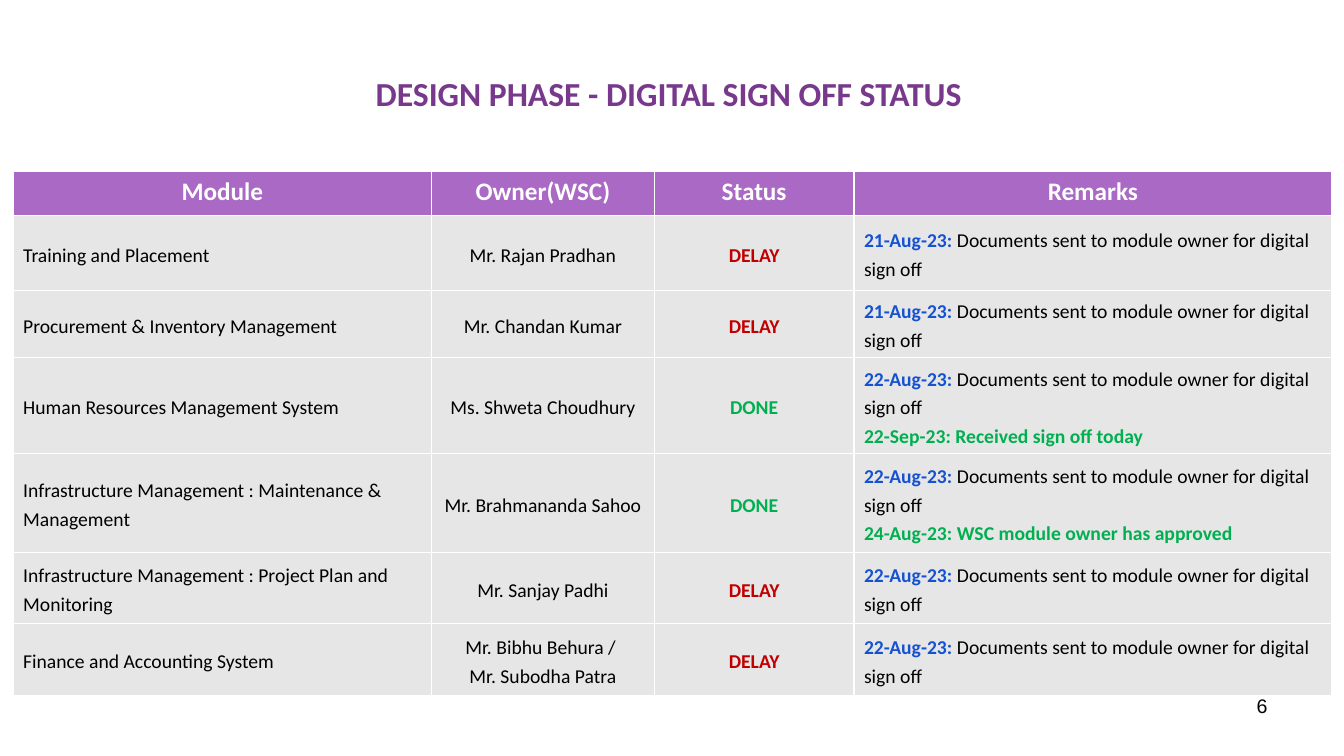
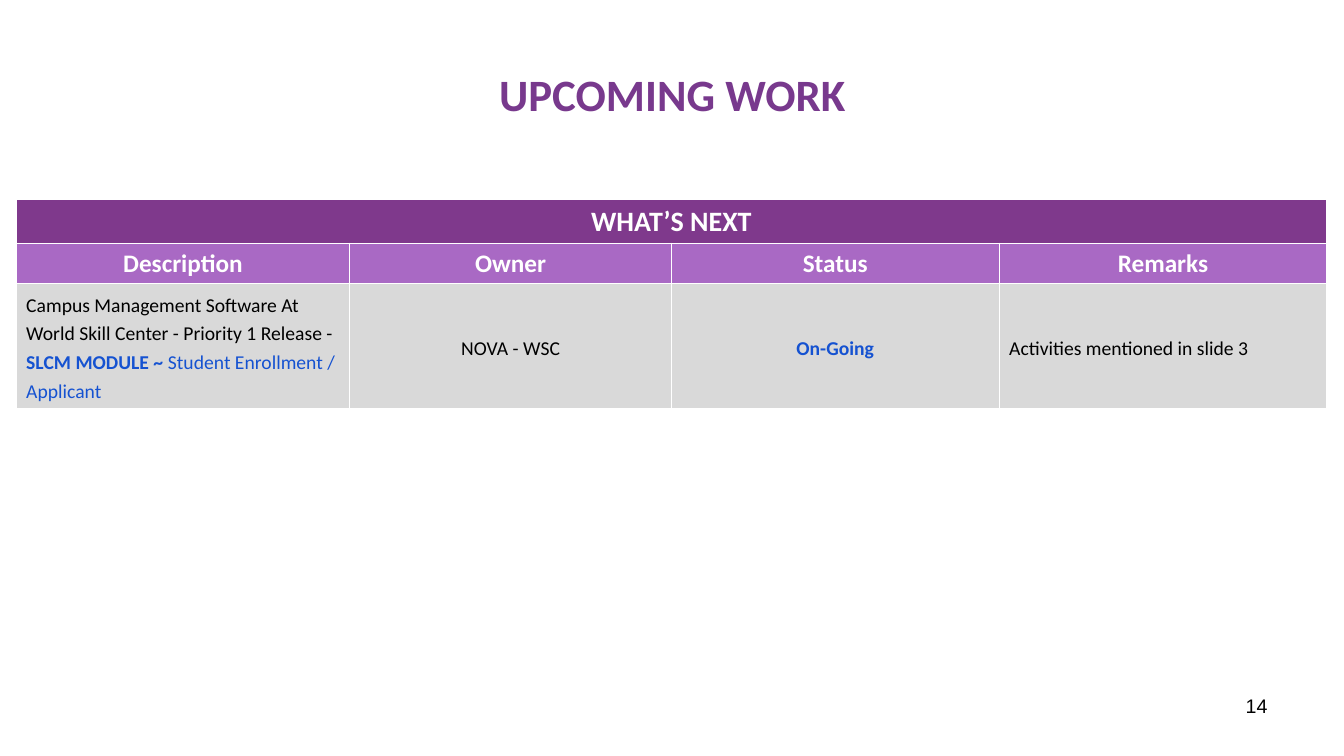
from dataclasses import dataclass

from lxml import etree
from pptx import Presentation
from pptx.dml.color import RGBColor
from pptx.enum.text import MSO_ANCHOR, PP_ALIGN
from pptx.oxml.ns import qn
from pptx.util import Inches, Pt

LEFT, CENTER, RIGHT = PP_ALIGN.LEFT, PP_ALIGN.CENTER, PP_ALIGN.RIGHT
TOP, MIDDLE = MSO_ANCHOR.TOP, MSO_ANCHOR.MIDDLE
TITLE_ONLY = 5


@dataclass(frozen=True)
class Theme:
    title: str = "78398D"
    banner: str = "7F398C"
    header: str = "A969C4"
    white: str = "FFFFFF"
    black: str = "000000"
    blue: str = "1552D1"
    red: str = "C00000"
    green: str = "00B050"
    font: str = "Calibri"
    number_font: str = "Arial"
    banner_size: int = 20
    header_size: int = 18
    body_size: int = 14
    body_spacing: float = 1.2
    border_width: int = 1


THEME = Theme()

# Text styles: colour and bold
STYLES = {
    "plain": (THEME.black, False),
    "date": (THEME.blue, True),
    "note": (THEME.blue, False),
    "late": (THEME.red, True),
    "done": (THEME.green, True),
    "head": (THEME.white, True),
}

# Content: a cell is a list of paragraphs, a paragraph a list of (text, style)
DELAY, DONE = [[("DELAY", "late")]], [[("DONE", "done")]]


def plain(*lines):
    return [[(line, "plain")] for line in lines]


def remarks(date, outcome=None):
    sent = [(f"{date}:", "date"),
            (" Documents sent to module owner for digital sign off", "plain")]
    return [sent, [(outcome, "done")]] if outcome else [sent]


SLIDES = [
    {
        "title": "DESIGN PHASE - DIGITAL SIGN OFF STATUS ",
        "title_size": 24,
        "number": "6",
        "origin": (0.13, 1.7),
        "columns": [4.15, 2.21, 1.98, 4.74],
        "heights": [0.44, 0.74, 0.67, 0.95, 0.98, 0.71, 0.71],
        "banner": None,
        "header": ["Module", "Owner(WSC)", "Status", "Remarks"],
        "alignments": [LEFT, CENTER, CENTER, LEFT],
        "fill": "E6E6E6",
        "rows": [
            (plain("Training and Placement"), plain("Mr. Rajan Pradhan"),
             DELAY, remarks("21-Aug-23")),
            (plain("Procurement & Inventory Management"), plain("Mr. Chandan Kumar"),
             DELAY, remarks("21-Aug-23")),
            (plain("Human Resources Management System"), plain("Ms. Shweta Choudhury"),
             DONE, remarks("22-Aug-23", "22-Sep-23: Received sign off today")),
            (plain("Infrastructure Management : Maintenance & Management"),
             plain("Mr. Brahmananda Sahoo"),
             DONE, remarks("22-Aug-23", "24-Aug-23: WSC module owner has approved")),
            (plain("Infrastructure Management : Project Plan and Monitoring"),
             plain("Mr. Sanjay Padhi"), DELAY, remarks("22-Aug-23")),
            (plain("Finance and Accounting System"),
             plain("Mr. Bibhu Behura / ", "Mr. Subodha Patra"),
             DELAY, remarks("22-Aug-23")),
        ],
    },
    {
        "title": "UPCOMING WORK",
        "title_size": 32,
        "number": "14",
        "origin": (0.16, 1.98),
        "columns": [3.31, 3.19, 3.25, 3.25],
        "heights": [0.43, 0.4, 1.24],
        "banner": "WHAT’S NEXT",
        "header": ["Description", "Owner", "Status", "Remarks"],
        "alignments": [LEFT, CENTER, CENTER, LEFT],
        "fill": "D9D9D9",
        "rows": [
            ([[("Campus Management Software At World Skill Center"
                " - Priority 1 Release - ", "plain"),
               ("SLCM MODULE ~ ", "date"),
               ("Student Enrollment / Applicant", "note")]],
             plain("NOVA - WSC"), [[("On-Going", "date")]],
             plain("Activities mentioned in slide 3")),
        ],
    },
]


def add_span(para, text, size, color, bold=False, font=THEME.font):
    span = para.add_run()
    span.text = text
    formats = {"size": Pt(size), "bold": bold, "name": font}
    for name, value in formats.items():
        setattr(span.font, name, value)
    span.font.color.rgb = RGBColor.from_string(color)


def add_borders(cell):
    properties = cell._tc.get_or_add_tcPr()
    for index, side in enumerate(("lnL", "lnR", "lnT", "lnB")):
        line = etree.Element(qn(f"a:{side}"), w=str(Pt(THEME.border_width)))
        fill = etree.SubElement(line, qn("a:solidFill"))
        etree.SubElement(fill, qn("a:srgbClr"), val=THEME.white)
        properties.insert(index, line)


def fill_cell(cell, paragraphs, fill, size, alignment=CENTER, anchor=TOP, spacing=None):
    cell.fill.solid()
    cell.fill.fore_color.rgb = RGBColor.from_string(fill)
    cell.vertical_anchor = anchor
    add_borders(cell)
    frame = cell.text_frame
    for index, spans in enumerate(paragraphs):
        para = frame.add_paragraph() if index else frame.paragraphs[0]
        para.alignment = alignment
        para.line_spacing = spacing
        for text, style in spans:
            add_span(para, text, size, *STYLES[style])


def add_title(slide, text, size):
    title = slide.shapes.title
    title.left, title.top = Inches(0.67), Inches(0.3)
    title.width, title.height = Inches(12), Inches(1.25)
    title.text_frame.vertical_anchor = MIDDLE
    para = title.text_frame.paragraphs[0]
    para.alignment = CENTER
    add_span(para, text, size, THEME.title, True)


def add_number(slide, number):
    box = slide.shapes.add_textbox(Inches(9.56), Inches(6.83), Inches(3.11), Inches(0.52))
    box.text_frame.word_wrap = True
    para = box.text_frame.paragraphs[0]
    para.alignment = RIGHT
    add_span(para, number, THEME.body_size, THEME.black, font=THEME.number_font)


def add_status_table(slide, content):
    columns, heights = content["columns"], content["heights"]
    left, top = content["origin"]
    table = slide.shapes.add_table(
        len(heights), len(columns), Inches(left), Inches(top),
        Inches(sum(columns)), Inches(sum(heights))).table
    table.horz_banding = False
    for column, width in zip(table.columns, columns):
        column.width = Inches(width)
    for row, height in zip(table.rows, heights):
        row.height = Inches(height)

    # Optional banner across all columns
    header_row = 0
    if content["banner"]:
        table.cell(0, 0).merge(table.cell(0, len(columns) - 1))
        fill_cell(table.cell(0, 0), [[(content["banner"], "head")]],
                  THEME.banner, THEME.banner_size)
        header_row = 1

    # Column headings, then body rows
    for index, heading in enumerate(content["header"]):
        fill_cell(table.cell(header_row, index), [[(heading, "head")]],
                  THEME.header, THEME.header_size)
    for row_index, row in enumerate(content["rows"], header_row + 1):
        for index, paragraphs in enumerate(row):
            fill_cell(table.cell(row_index, index), paragraphs, content["fill"],
                      THEME.body_size, content["alignments"][index],
                      MIDDLE, THEME.body_spacing)


def main():
    deck = Presentation()
    deck.slide_width, deck.slide_height = Inches(13.33), Inches(7.5)
    for content in SLIDES:
        slide = deck.slides.add_slide(deck.slide_layouts[TITLE_ONLY])
        add_title(slide, content["title"], content["title_size"])
        add_number(slide, content["number"])
        add_status_table(slide, content)
    deck.save("out.pptx")


if __name__ == "__main__":
    main()
